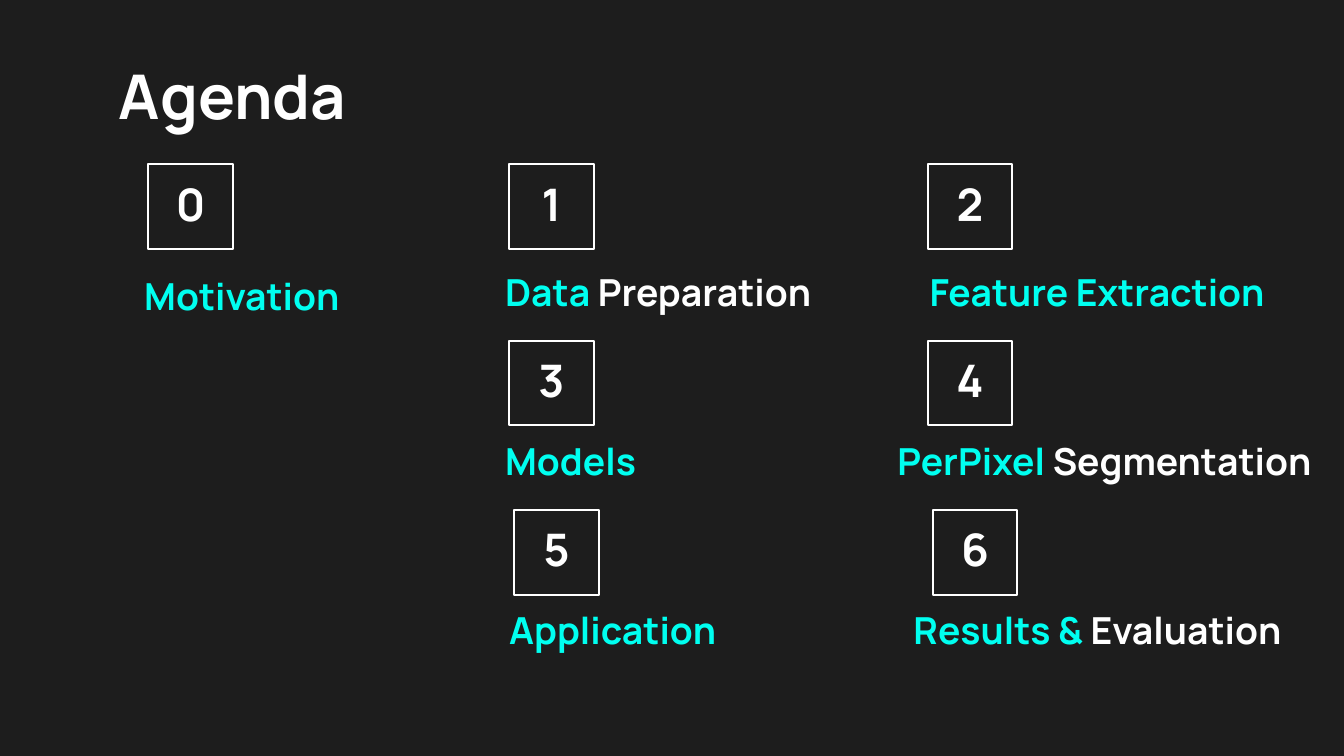
from dataclasses import dataclass

from pptx import Presentation
from pptx.dml.color import RGBColor
from pptx.enum.shapes import MSO_SHAPE
from pptx.enum.text import MSO_ANCHOR, MSO_AUTO_SIZE, PP_ALIGN
from pptx.util import Inches, Pt

TITLE = "Agenda"

# number, row, column, accented words, plain words, label's left from its tile
TOPICS = [
    ("0", 0, 0, "Motivation", "", -0.17),
    ("1", 0, 1, "Data ", "Preparation", -0.17),
    ("2", 0, 2, "Feature Extraction", "", -0.11),
    ("3", 1, 1, "Models", "", -0.17),
    ("4", 1, 2, "PerPixel ", "Segmentation", -0.43),
    ("5", 2, 1, "Application", "", -0.18),
    ("6", 2, 2, "Results & ", "Evaluation", -0.32),
]

# Grid in inches
SLIDE_WIDTH, SLIDE_HEIGHT = 13.33, 7.5
COLUMN_LEFTS = [1.47, 5.05, 9.2]
LABEL_WIDTHS = [3.85, 4.21]  # the last column runs to the slide's right edge
ROW_TOPS = [1.63, 3.38, 5.06]
ROW_INDENTS = [0, 0, 0.05]
LABEL_TOPS = [2.54, 4.21, 5.89]
TILE_SIZE, LABEL_HEIGHT, FIRST_LABEL_HEIGHT = 0.84, 0.77, 0.84
TITLE_AREA = (1.05, 0.57, 9.25, 0.84)
INSET = 0.13


@dataclass(frozen=True)
class Theme:
    font: str = "Manrope"
    background: RGBColor = RGBColor(0x1D, 0x1D, 0x1D)
    plain: RGBColor = RGBColor(0xFF, 0xFF, 0xFF)
    accent: RGBColor = RGBColor(0x00, 0xFF, 0xF0)
    title_size: float = 44
    number_size: float = 32
    label_size: float = 26.6
    outline: float = 1.5


THEME = Theme()


def write(shape, spans, size, align=PP_ALIGN.LEFT):
    """Fill a shape with one line of (words, colour) spans."""
    frame = shape.text_frame
    frame_format = {
        "word_wrap": True,
        "auto_size": MSO_AUTO_SIZE.NONE,
        "vertical_anchor": MSO_ANCHOR.MIDDLE,
    }
    for side in ("left", "top", "right", "bottom"):
        frame_format[f"margin_{side}"] = Inches(INSET)
    for name, value in frame_format.items():
        setattr(frame, name, value)
    para = frame.paragraphs[0]
    para.alignment, para.line_spacing = align, 0.9
    for words, colour in spans:
        span = para.add_run()
        span.text = words
        for name, value in {"name": THEME.font, "size": Pt(size), "bold": True}.items():
            setattr(span.font, name, value)
        span.font.color.rgb = colour


def add_title(page):
    title = page.shapes.title
    for name, value in zip(("left", "top", "width", "height"), TITLE_AREA):
        setattr(title, name, Inches(value))
    write(title, [(TITLE, THEME.plain)], THEME.title_size)


def add_tile(page, number, left, top):
    tile = page.shapes.add_shape(
        MSO_SHAPE.RECTANGLE, *map(Inches, (left, top, TILE_SIZE, TILE_SIZE)))
    tile.shadow.inherit = False
    tile.fill.background()
    tile.line.color.rgb = THEME.plain
    tile.line.width = Pt(THEME.outline)
    write(tile, [(number, THEME.plain)], THEME.number_size, PP_ALIGN.CENTER)


def add_topic(page, number, row, column, accented, plain, label_shift):
    left = COLUMN_LEFTS[column] + ROW_INDENTS[row]
    add_tile(page, number, left, ROW_TOPS[row])
    label_left = left + label_shift
    is_last_column = column == len(COLUMN_LEFTS) - 1
    width = SLIDE_WIDTH - label_left if is_last_column else LABEL_WIDTHS[column]
    height = LABEL_HEIGHT if column else FIRST_LABEL_HEIGHT
    label = page.shapes.add_textbox(
        *map(Inches, (label_left, LABEL_TOPS[row], width, height)))
    spans = [(accented, THEME.accent)]
    if plain:
        spans.append((plain, THEME.plain))
    write(label, spans, THEME.label_size)


def main():
    deck = Presentation()
    deck.slide_width, deck.slide_height = Inches(SLIDE_WIDTH), Inches(SLIDE_HEIGHT)
    page = deck.slides.add_slide(deck.slide_layouts.get_by_name("Title Only"))
    page.background.fill.solid()
    page.background.fill.fore_color.rgb = THEME.background
    add_title(page)
    for topic in TOPICS:
        add_topic(page, *topic)
    deck.save("out.pptx")


if __name__ == "__main__":
    main()
